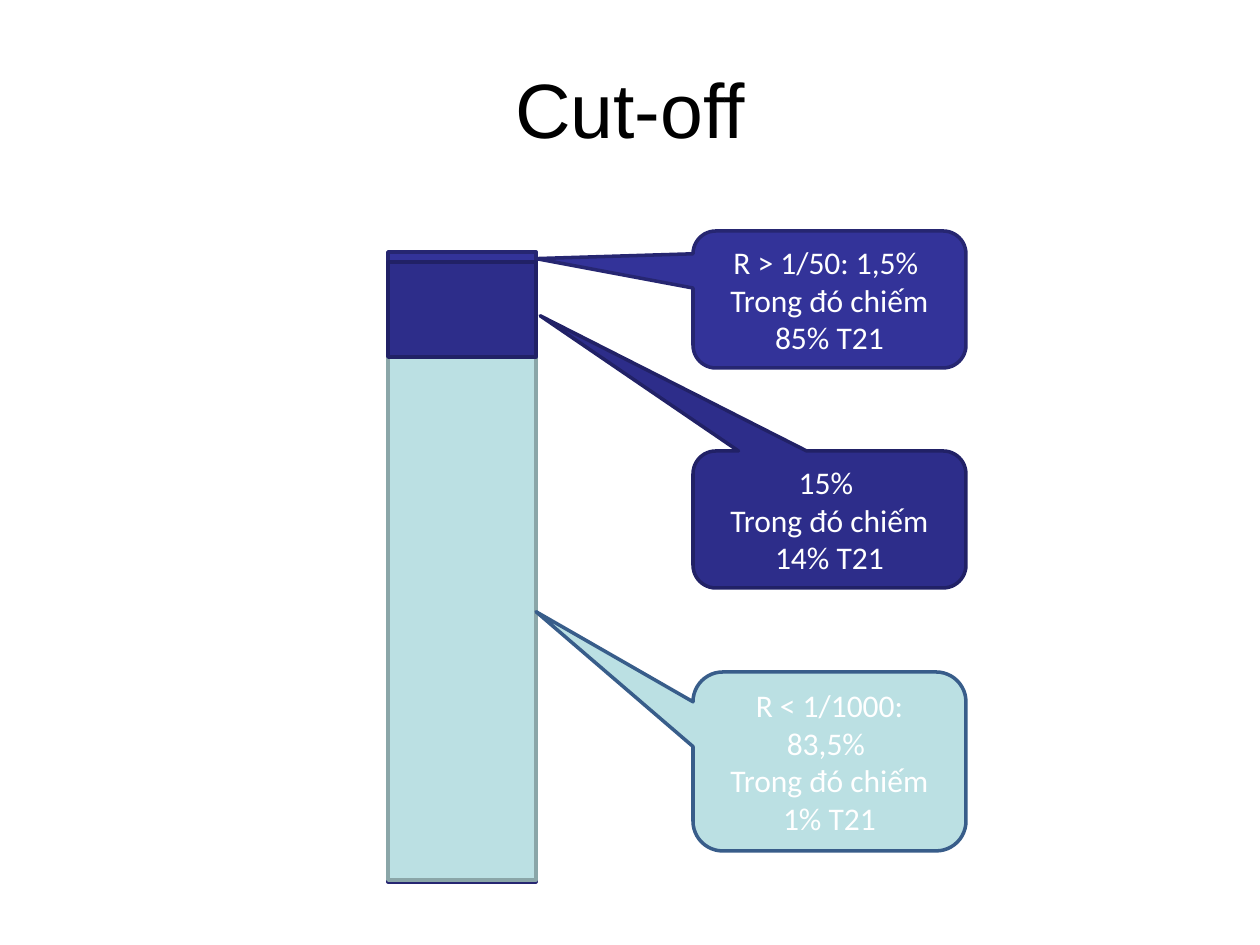
from pptx import Presentation
from pptx.dml.color import RGBColor
from pptx.enum.shapes import MSO_SHAPE as Form
from pptx.enum.text import MSO_ANCHOR as Anchor, PP_ALIGN as Align
from pptx.util import Emu, Pt

PX = 914400 / 126
NAVY, DARK, PALE = "333399", "2D2D8A", "BBE0E3"
NAVY_EDGE, DARK_EDGE, PALE_EDGE, BLUE_EDGE = "262671", "212166", "8AA6A8", "385D8A"
BAR_X, BAR_W = 388, 148
NOTE_X, NOTE_W = 693, 273

# top, height, fill, edge
BARS = [
    (252, 630, NAVY, NAVY_EDGE),
    (357, 523, PALE, PALE_EDGE),
    (262, 95, DARK, DARK_EDGE),
]

# top, height, fill, edge, pointer tip, lines
NOTES = [
    (672, 179, PALE, BLUE_EDGE, (-1.075, -0.837),
     ["R < 1/1000: 83,5% ", "Trong đó chiếm 1% T21"]),
    (451, 137, DARK, DARK_EDGE, (-1.06, -1.487),
     ["15% ", "Trong đó chiếm 14% T21"]),
    (231, 137, NAVY, NAVY_EDGE, (-1.075, -0.298),
     ["R > 1/50: 1,5% ", "Trong đó chiếm 85% T21"]),
]


def px(n):
    return Emu(round(n * PX))


def color(code):
    return RGBColor.from_string(code)


def write(shape, lines, size, face, ink):
    frame = shape.text_frame
    frame.word_wrap = True
    frame.vertical_anchor = Anchor.MIDDLE
    for i, line in enumerate(lines):
        para = frame.add_paragraph() if i else frame.paragraphs[0]
        para.alignment = Align.CENTER
        run = para.add_run()
        run.text = line
        run.font.size = Pt(size)
        run.font.name = face
        run.font.color.rgb = color(ink)


def add_title(slide, text):
    box = slide.shapes.add_textbox(px(63), px(42), px(1134), px(132))
    write(box, [text], 44, "Arial", "000000")


def add_form(slide, form, left, top, width, height, fill, edge):
    shape = slide.shapes.add_shape(form, px(left), px(top), px(width), px(height))
    shape.shadow.inherit = False
    shape.fill.solid()
    shape.fill.fore_color.rgb = color(fill)
    shape.line.color.rgb = color(edge)
    shape.line.width = Pt(2)
    return shape


def add_bar(slide, top, height, fill, edge):
    add_form(slide, Form.RECTANGLE, BAR_X, top, BAR_W, height, fill, edge)


def add_note(slide, top, height, fill, edge, tip, lines):
    note = add_form(slide, Form.ROUNDED_RECTANGULAR_CALLOUT,
                    NOTE_X, top, NOTE_W, height, fill, edge)
    for i, value in enumerate((*tip, 0.16667)):
        note.adjustments[i] = value
    write(note, lines, 18, "Calibri", "FFFFFF")


def main():
    deck = Presentation()
    deck.slide_width, deck.slide_height = px(1260), px(945)
    slide = deck.slides.add_slide(deck.slide_layouts[6])
    add_title(slide, "Cut-off")
    # Stacked bar: the tall one shows at the top edge
    for bar in BARS:
        add_bar(slide, *bar)
    # Callouts pointing at the bar
    for note in NOTES:
        add_note(slide, *note)
    deck.save("out.pptx")


if __name__ == "__main__":
    main()
